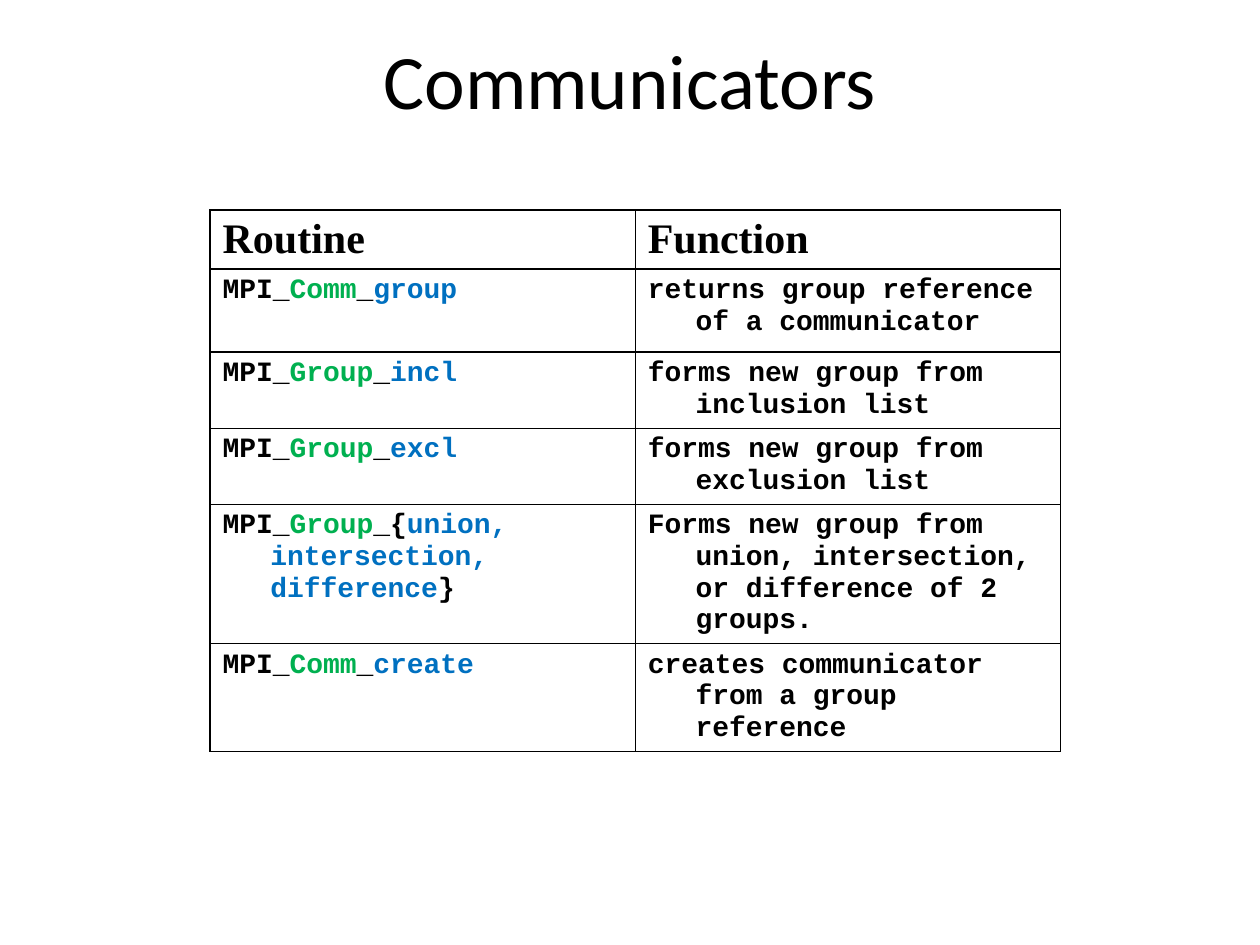
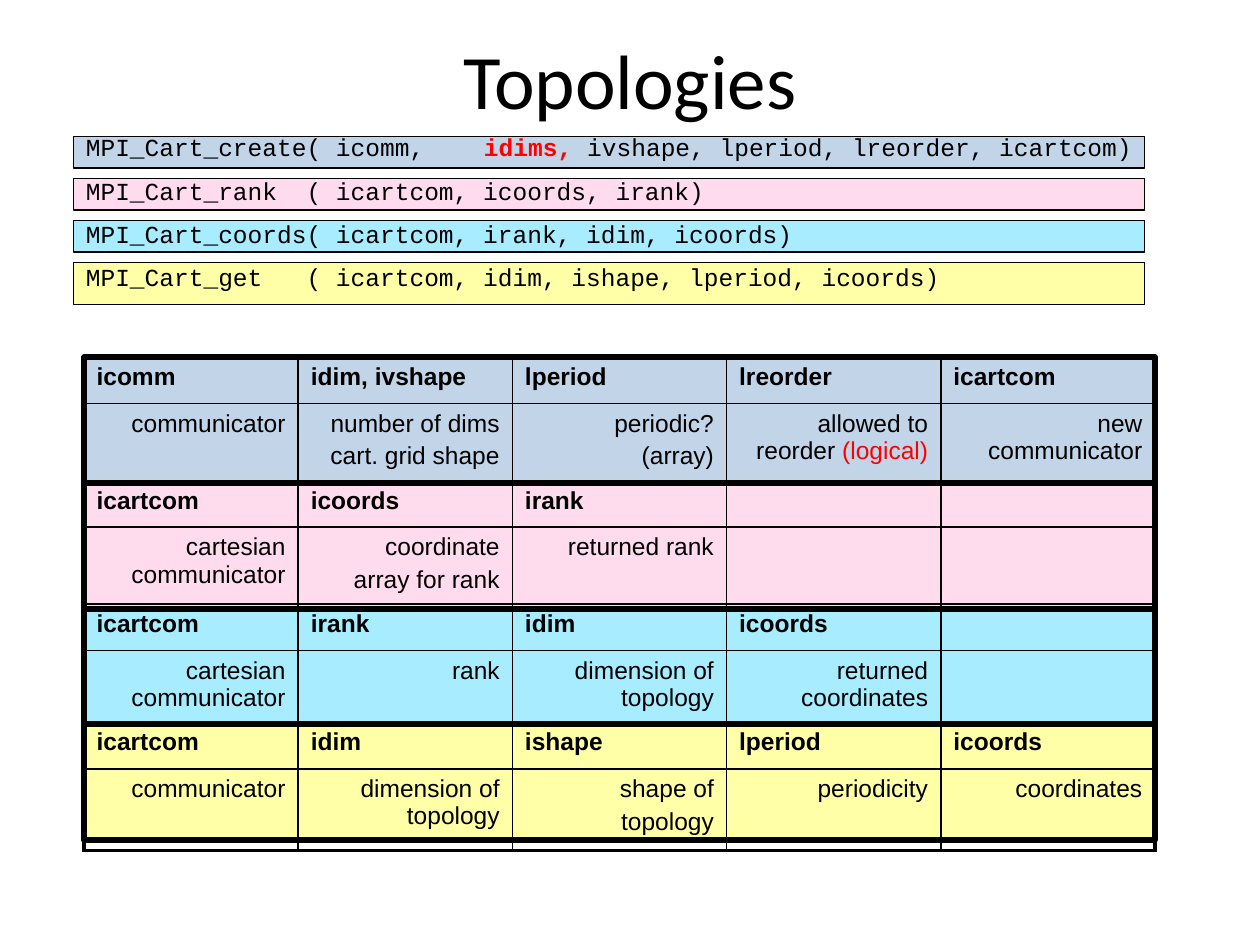
import pptx
import pptx.util
import pptx.dml.color
import pptx.enum.shapes
import pptx.enum.text
import pptx.oxml.ns
import lxml.etree

UNITS_PER_INCH = 12
BLACK, RED, GREEN, BLUE = "000000", "FF0000", "00B050", "0070C0"
TITLE_BOX = (9, 0, 102, 15)
TITLE_ONLY = 5
LEFT = pptx.enum.text.PP_ALIGN.LEFT
RIGHT = pptx.enum.text.PP_ALIGN.RIGHT
CENTER = pptx.enum.text.PP_ALIGN.CENTER
TOP = pptx.enum.text.MSO_ANCHOR.TOP
MIDDLE = pptx.enum.text.MSO_ANCHOR.MIDDLE

ROUTINES = [
    ("Comm", "_", "group", "", "returns group reference of a communicator", 7.9),
    ("Group", "_", "incl", "", "forms new group from inclusion list", 7.25),
    ("Group", "_", "excl", "", "forms new group from exclusion list", 7.25),
    ("Group", "_{", "union,\nintersection, difference", "}",
     "Forms new group from union, intersection, or difference of 2 groups.", 13.2),
    ("Comm", "_", "create", "", "creates communicator from a group reference", 10.3),
]

CALLS = [
    {
        "tint": "4F81BD", "bar_rows": 3, "zone_rows": 12, "meaning_rows": 7.32,
        "signature": ["MPI_Cart_create( icomm,    ",
                      ("idims, ", {"color": RED, "bold": True}),
                      "ivshape, lperiod, lreorder, icartcom)"],
        "arguments": [
            ("icomm", ["communicator"]),
            ("idim, ivshape", ["number of dims", "cart. grid shape"]),
            ("lperiod", ["periodic?", "(array)"]),
            ("lreorder", [["allowed to reorder ", ("(logical)", {"color": RED})]]),
            ("icartcom", ["new communicator"]),
        ],
    },
    {
        "tint": "FF99CC", "bar_rows": 3, "zone_rows": 12, "meaning_rows": 7.32,
        "signature": "MPI_Cart_rank  ( icartcom, icoords, irank)",
        "arguments": [
            ("icartcom", ["cartesian communicator"]),
            ("icoords", ["coordinate", "array for rank"]),
            ("irank", ["returned rank"]),
        ],
    },
    {
        "tint": "00CCFF", "bar_rows": 3, "zone_rows": 11, "meaning_rows": 6.84,
        "signature": "MPI_Cart_coords( icartcom, irank, idim, icoords)",
        "arguments": [
            ("icartcom", ["cartesian communicator"]),
            ("irank", ["rank"]),
            ("idim", ["dimension of topology"]),
            ("icoords", ["returned coordinates"]),
        ],
    },
    {
        "tint": "FFFF00", "bar_rows": 4, "zone_rows": 11, "meaning_rows": 7.8,
        "signature": "MPI_Cart_get   ( icartcom, idim, ishape, lperiod, icoords)",
        "arguments": [
            ("icartcom", ["communicator"]),
            ("idim", ["dimension of topology"]),
            ("ishape", ["shape of", "topology"]),
            ("lperiod", ["periodicity"]),
            ("icoords", ["coordinates"]),
        ],
    },
]
ARGUMENT_COLUMNS = 5
NAME_ROWS = 4.44


def units(count):
    return pptx.util.Inches(count / UNITS_PER_INCH)


def place(box):
    return [units(length) for length in box]


def rgb(code):
    return pptx.dml.color.RGBColor.from_string(code)


def child(parent, tag, **attributes):
    return lxml.etree.SubElement(parent, pptx.oxml.ns.qn(tag), **attributes)


def write(frame, paragraphs, font="Arial", size=14, color=BLACK, bold=False,
          align=LEFT, gap=0, hanging=0):
    for index, content in enumerate(paragraphs):
        paragraph = frame.paragraphs[0] if index == 0 else frame.add_paragraph()
        paragraph.alignment = align
        if index:
            paragraph.space_before = pptx.util.Pt(gap)
        if hanging:
            indent = pptx.util.Inches(hanging)
            properties = paragraph._p.get_or_add_pPr()
            properties.set("marL", str(indent))
            properties.set("indent", str(-indent))
        for span in [content] if isinstance(content, str) else content:
            words, changes = (span, {}) if isinstance(span, str) else span
            look = {"color": color, "bold": bold, **changes}
            for line, piece in enumerate(words.split("\n")):
                if line:
                    paragraph.add_line_break()
                run = paragraph.add_run()
                run.text = piece
                run.font.name = font
                run.font.size = pptx.util.Pt(size)
                run.font.bold = look["bold"]
                run.font.color.rgb = rgb(look["color"])


def titled_slide(deck, heading):
    slide = deck.slides.add_slide(deck.slide_layouts[TITLE_ONLY])
    title = slide.shapes.title
    title.left, title.top, title.width, title.height = place(TITLE_BOX)
    title.text_frame.vertical_anchor = MIDDLE
    write(title.text_frame, [heading], font="Calibri", size=44, align=CENTER)
    return slide


def ruled_grid(slide, left, top, width, row_units, columns, inner, outer):
    frame = slide.shapes.add_table(
        len(row_units), columns, *place((left, top, width, sum(row_units))))
    grid = frame.table
    grid.first_row = grid.horz_banding = False
    for column in grid.columns:
        column.width = units(width / columns)
    for row, height in zip(grid.rows, row_units):
        row.height = units(height)
    for r in range(len(row_units)):
        for c in range(columns):
            cell = grid.cell(r, c)
            edges = {"a:lnL": c == 0, "a:lnR": c == columns - 1,
                     "a:lnT": r == 0, "a:lnB": r == len(row_units) - 1}
            properties = cell._tc.get_or_add_tcPr()
            for tag, on_rim in edges.items():
                weight = pptx.util.Pt(outer if on_rim else inner)
                border = child(properties, tag, w=str(weight))
                child(child(border, "a:solidFill"), "a:srgbClr", val=BLACK)
            cell.fill.background()
    return grid


def tinted_panel(slide, box, tint, weight):
    panel = slide.shapes.add_shape(
        pptx.enum.shapes.MSO_SHAPE.RECTANGLE, *place(box))
    panel.shadow.inherit = False
    panel.fill.solid()
    panel.fill.fore_color.rgb = rgb(tint)
    shade = panel.fill._xPr.find(".//" + pptx.oxml.ns.qn("a:srgbClr"))
    child(shade, "a:alpha", val="34000")
    panel.line.color.rgb = rgb(BLACK)
    panel.line.width = pptx.util.Pt(weight)


def routine_table(slide, left, top, width):
    heights = [5.6] + [routine[-1] for routine in ROUTINES]
    grid = ruled_grid(slide, left, top, width, heights, 2, inner=0.75, outer=0.75)
    for c, heading in enumerate(["Routine", "Function"]):
        cell = grid.cell(0, c)
        cell.vertical_anchor = MIDDLE
        write(cell.text_frame, [heading], font="Times New Roman", size=24,
              bold=True, hanging=0.38)
    for r, (family, joint, action, closing, purpose, _) in enumerate(ROUTINES, 1):
        routine = ["MPI_", (family, {"color": GREEN}), joint, (action, {"color": BLUE})]
        if closing:
            routine.append(closing)
        for c, content in enumerate([routine, purpose]):
            write(grid.cell(r, c).text_frame, [content], font="Courier New",
                  size=16, bold=True, hanging=0.38)


def zone_panels(slide, left, top, width):
    for call in CALLS:
        tinted_panel(slide, (left, top, width, call["zone_rows"]), call["tint"], 3)
        top += call["zone_rows"]


def signature_bars(slide, left, top, width, pitch):
    for index, call in enumerate(CALLS):
        bar = (left, top + index * pitch, width, call["bar_rows"])
        tinted_panel(slide, bar, call["tint"], 0.75)


def signature_lines(slide, box):
    signatures = slide.shapes.add_textbox(*place(box)).text_frame
    signatures.word_wrap = True
    signatures.vertical_anchor = TOP
    write(signatures, [call["signature"] for call in CALLS],
          font="Courier New", gap=8)


def argument_table(slide, left, top, width):
    heights = [rows for call in CALLS for rows in (NAME_ROWS, call["meaning_rows"])]
    grid = ruled_grid(slide, left, top, width, heights, ARGUMENT_COLUMNS,
                      inner=1, outer=2.25)
    for index, call in enumerate(CALLS):
        for c in range(ARGUMENT_COLUMNS):
            name_cell, meaning_cell = (grid.cell(2 * index + k, c) for k in (0, 1))
            if c < len(call["arguments"]):
                name, meaning = call["arguments"][c]
                write(name_cell.text_frame, [name], bold=True)
                write(meaning_cell.text_frame, meaning, align=RIGHT, gap=3)
            else:
                for cell in (name_cell, meaning_cell):
                    child(cell.text_frame.paragraphs[0]._p, "a:endParaRPr", sz="1400")


def communicators_slide(deck):
    slide = titled_slide(deck, "Communicators")
    routine_table(slide, 20, 20, 81)


def topologies_slide(deck):
    slide = titled_slide(deck, "Topologies")
    zone_panels(slide, 8, 34, 102)
    signature_bars(slide, 7, 13, 102, pitch=4)
    signature_lines(slide, (7, 12, 109, 16.8))
    argument_table(slide, 8, 34, 102)


def main():
    deck = pptx.Presentation()
    deck.slide_width = pptx.util.Inches(10)
    deck.slide_height = pptx.util.Inches(7.5)
    communicators_slide(deck)
    topologies_slide(deck)
    deck.save("out.pptx")


if __name__ == "__main__":
    main()
